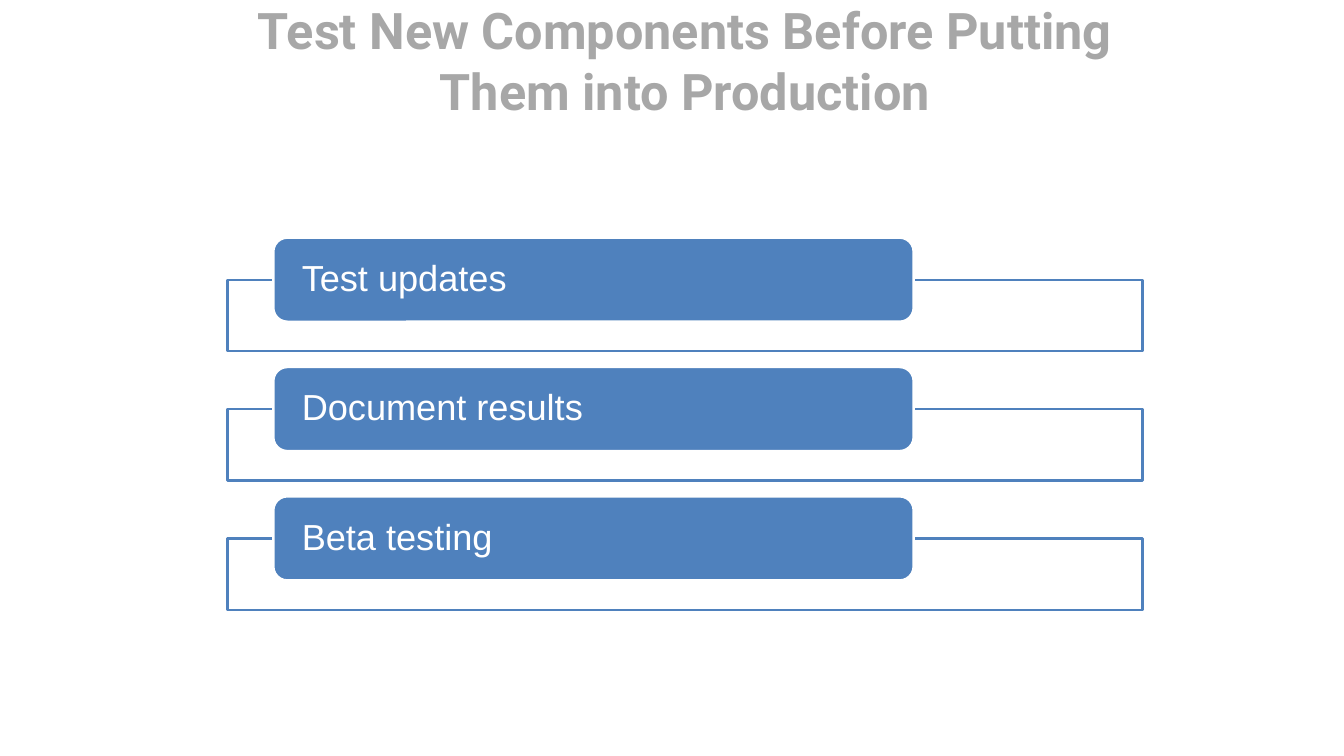
from lxml import etree
from pptx import Presentation, util as u
from pptx.dml.color import RGBColor
from pptx.enum import shapes, text
from pptx.oxml.ns import qn

WIDTH, HEIGHT = 16, 9
BLUE, WHITE, GREY = "4F81BD", "FFFFFF", "A7A7A7"
STEPS = ["Test updates", "Document results", "Beta testing"]


def color(value):
    return RGBColor.from_string(value)


def write(tf, words, font, size, ink, bold=False, align=text.PP_ALIGN.LEFT,
          spacing=None, inset=(0, 0)):
    tf.word_wrap = True
    tf.auto_size = text.MSO_AUTO_SIZE.NONE
    tf.vertical_anchor = text.MSO_ANCHOR.MIDDLE
    tf.margin_left = tf.margin_right = u.Inches(inset[0])
    tf.margin_top = tf.margin_bottom = u.Inches(inset[1])
    p = tf.paragraphs[0]
    p.alignment = align
    p.line_spacing = spacing
    r = p.add_run()
    r.text = words
    r.font.name, r.font.size, r.font.bold = font, u.Pt(size), bold
    r.font.color.rgb = color(ink)


def add_box(s, kind, box, fill, line, opacity=None):
    sp = s.shapes.add_shape(kind, *map(u.Inches, box))
    sp.shadow.inherit = False
    sp.fill.solid()
    sp.fill.fore_color.rgb = color(fill)
    sp.line.color.rgb = color(line)
    sp.line.width = u.Pt(2)
    if opacity is not None:
        srgb = sp.fill._xPr.find(qn("a:solidFill"))[0]
        etree.SubElement(srgb, qn("a:alpha"), val=str(opacity * 1000))
    return sp


def add_title(s, box, words):
    sp = s.shapes.title
    sp.left, sp.top, sp.width, sp.height = map(u.Inches, box)
    write(sp.text_frame, words, "Roboto", 43.2, GREY, bold=True,
          align=text.PP_ALIGN.CENTER, inset=(0.07, 0.07))


def add_step(s, box, words):
    left, top, width, height = box
    tab = 1
    frame = (left, top + tab / 2, width, height - tab / 2)
    add_box(s, shapes.MSO_SHAPE.RECTANGLE, frame, WHITE, BLUE, opacity=90)
    label = (left + width * 0.05, top, width * 0.7, tab)
    sp = add_box(s, shapes.MSO_SHAPE.ROUNDED_RECTANGLE, label, BLUE, WHITE)
    write(sp.text_frame, words, "Arial", 31, WHITE, spacing=0.9, inset=(0.29, 0))


def add_steps(s, box, steps):
    left, top, width, height = box
    gap = 0.19
    step = (height + gap) / len(steps)
    for i, words in enumerate(steps):
        add_step(s, (left, top + i * step, width, step - gap), words)


def main():
    prs = Presentation()
    prs.slide_width, prs.slide_height = u.Inches(WIDTH), u.Inches(HEIGHT)
    s = prs.slides.add_slide(prs.slide_layouts[5])
    left, width = 2.71, 10.89
    add_title(s, (left, 0.4, width, 0.62),
              "Test New Components Before Putting Them into Production")
    add_steps(s, (left, 2.83, width, 4.43), STEPS)
    prs.save("out.pptx")


if __name__ == "__main__":
    main()
